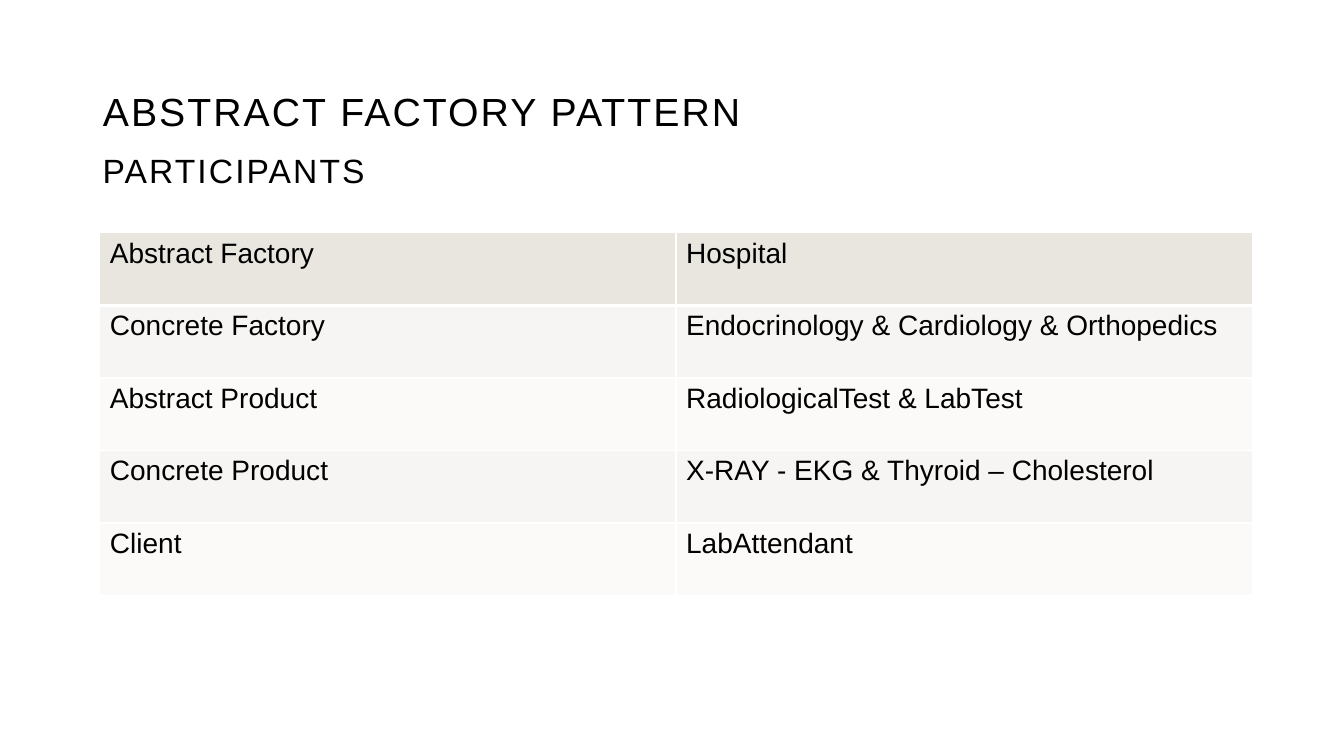
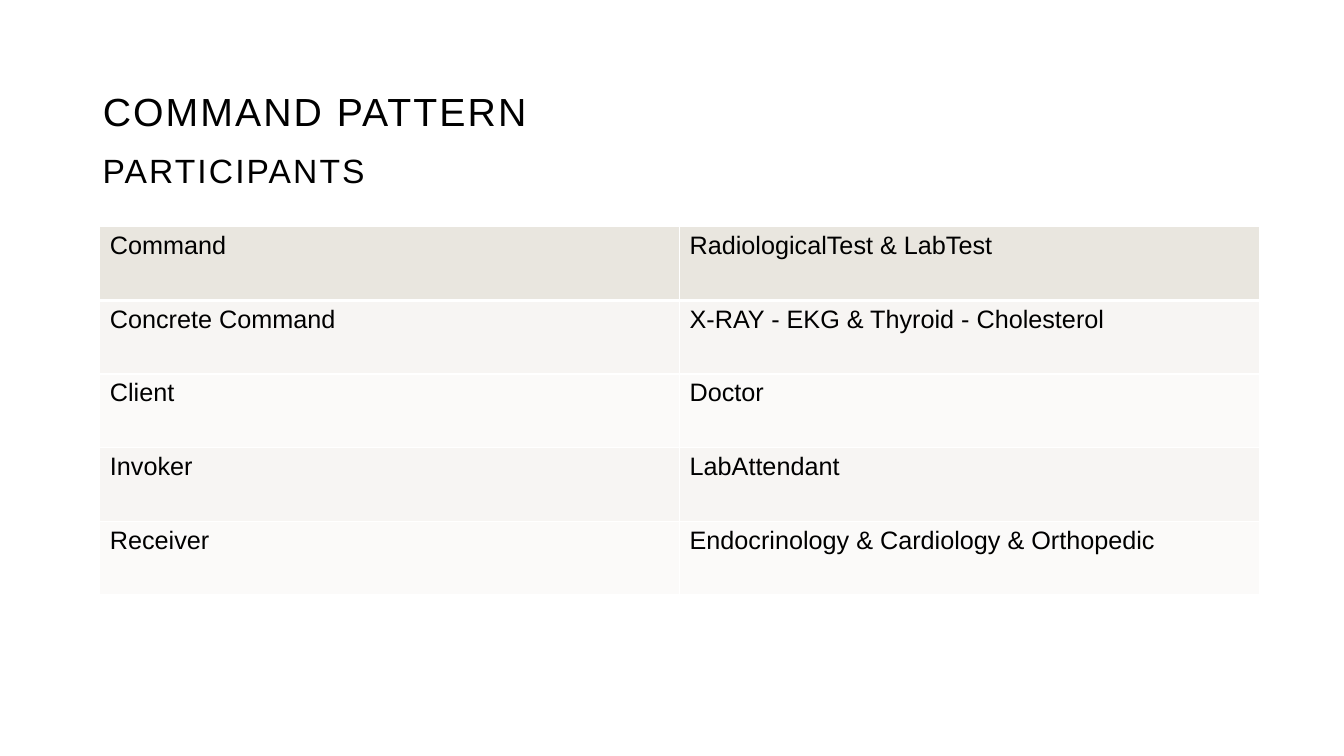
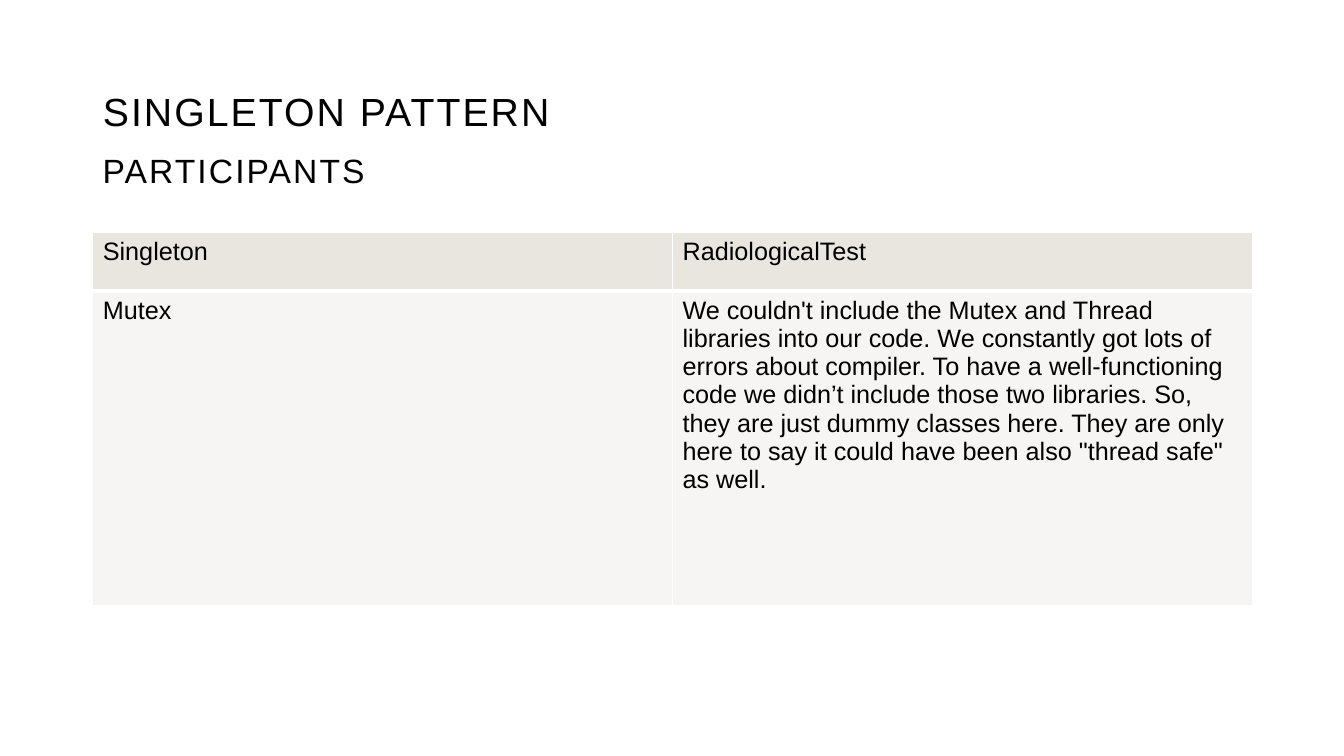
from dataclasses import dataclass

from lxml import etree
from pptx import Presentation
from pptx import util as u
from pptx.dml.color import RGBColor
from pptx.enum import text
from pptx.oxml.ns import qn

HUES = {
    "ink": "000000",
    "edge": "FFFFFF",
    "head": "E9E6DF",
    "odd": "F7F5F3",
    "even": "FBFAF9",
}
FONT = "Arial"
WIDE, HIGH = 13.33, 7.5
LEFT, SPAN = 0.92, 11.5
TOP, DROP, TALL = 0.4, 0.59, 1.45
TITLE_ONLY = 5


@dataclass
class Page:
    title: str
    left: float
    top: float
    width: float
    rows: list[float]
    size: int
    cells: list[tuple[str, str]]


PAGES = [
    Page("ABSTRACT FACTORY PATTERN", 0.99, 2.31, 11.43, [0.72] * 5, 20, [
        ("Abstract Factory", "Hospital"),
        ("Concrete Factory", "Endocrinology & Cardiology & Orthopedics"),
        ("Abstract Product", "RadiologicalTest & LabTest"),
        ("Concrete Product", "X-RAY - EKG & Thyroid – Cholesterol"),
        ("Client", "LabAttendant"),
    ]),
    Page("COMMAND PATTERN", 0.99, 2.25, SPAN, [0.73] * 5, 18, [
        ("Command", "RadiologicalTest & LabTest"),
        ("Concrete Command", "X-RAY - EKG & Thyroid - Cholesterol"),
        ("Client", "Doctor"),
        ("Invoker", "LabAttendant"),
        ("Receiver", "Endocrinology & Cardiology & Orthopedic"),
    ]),
    Page("SINGLETON PATTERN", LEFT, 2.31, SPAN, [0.58, 3.12], 18, [
        ("Singleton", "RadiologicalTest"),
        ("Mutex",
         "We couldn't include the Mutex and Thread libraries into our code. "
         "We constantly got lots of errors about compiler. To have a "
         "well-functioning code we didn’t include those two libraries. So, "
         "they are just dummy classes here. They are only here to say it "
         "could have been also \"thread safe\" as well."),
    ]),
]


def write(frame, words: str, *, size: int, space: float = 0,
          lead: float = 1.0) -> None:
    frame.word_wrap = True
    para = frame.paragraphs[0]
    para.alignment = text.PP_ALIGN.LEFT
    para.line_spacing = lead
    run = para.add_run()
    run.text = words
    run.font.name = FONT
    run.font.size = u.Pt(size)
    run.font.color.rgb = RGBColor.from_string(HUES["ink"])
    if space:
        run._r.get_or_add_rPr().set("spc", str(int(space * 100)))


def banner(shape, words: str, size: int) -> None:
    frame = shape.text_frame
    frame.auto_size = text.MSO_AUTO_SIZE.NONE
    frame.vertical_anchor = text.MSO_ANCHOR.MIDDLE
    write(frame, words, size=size, space=1.5, lead=0.9)


def border(cell, row: int) -> None:
    widths = {"L": 1, "R": 1, "T": 3 if row == 1 else 1,
              "B": 3 if row == 0 else 1}
    props = cell._tc.get_or_add_tcPr()
    for side, width in widths.items():
        line = etree.SubElement(props, qn(f"a:ln{side}"),
                                w=str(u.Pt(width)))
        fill = etree.SubElement(line, qn("a:solidFill"))
        etree.SubElement(fill, qn("a:srgbClr"), val=HUES["edge"])


def shade(row: int) -> str:
    if row == 0:
        return HUES["head"]
    return HUES["odd" if row % 2 else "even"]


def grid(slide, page: Page) -> None:
    count = len(page.cells[0])
    table = slide.shapes.add_table(
        len(page.rows), count, u.Inches(page.left), u.Inches(page.top),
        u.Inches(page.width), u.Inches(sum(page.rows))).table
    for col in table.columns:
        col.width = u.Inches(page.width / count)
    for row, (tall, words) in enumerate(zip(page.rows, page.cells)):
        table.rows[row].height = u.Inches(tall)
        for col, word in enumerate(words):
            cell = table.cell(row, col)
            border(cell, row)
            cell.fill.solid()
            cell.fill.fore_color.rgb = RGBColor.from_string(shade(row))
            write(cell.text_frame, word, size=page.size)


def draw(deck, page: Page) -> None:
    slide = deck.slides.add_slide(deck.slide_layouts[TITLE_ONLY])
    title = slide.shapes.title
    title.left, title.top = u.Inches(LEFT), u.Inches(TOP)
    title.width, title.height = u.Inches(SPAN), u.Inches(TALL)
    banner(title, page.title, 28)
    grid(slide, page)
    label = slide.shapes.add_textbox(
        u.Inches(LEFT), u.Inches(TOP + DROP), u.Inches(SPAN), u.Inches(TALL))
    banner(label, "PARTICIPANTS", 24)


def main() -> None:
    deck = Presentation()
    deck.slide_width, deck.slide_height = u.Inches(WIDE), u.Inches(HIGH)
    for page in PAGES:
        draw(deck, page)
    deck.save("out.pptx")


if __name__ == "__main__":
    main()
